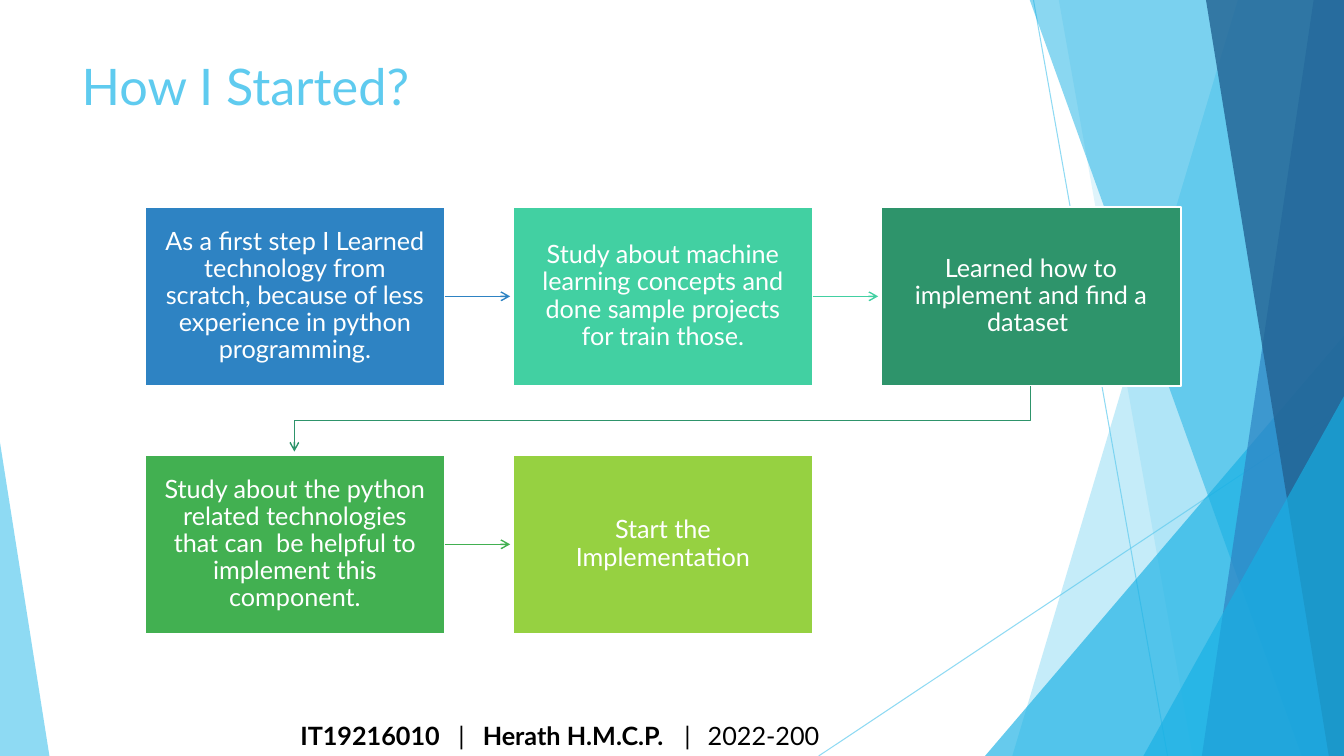
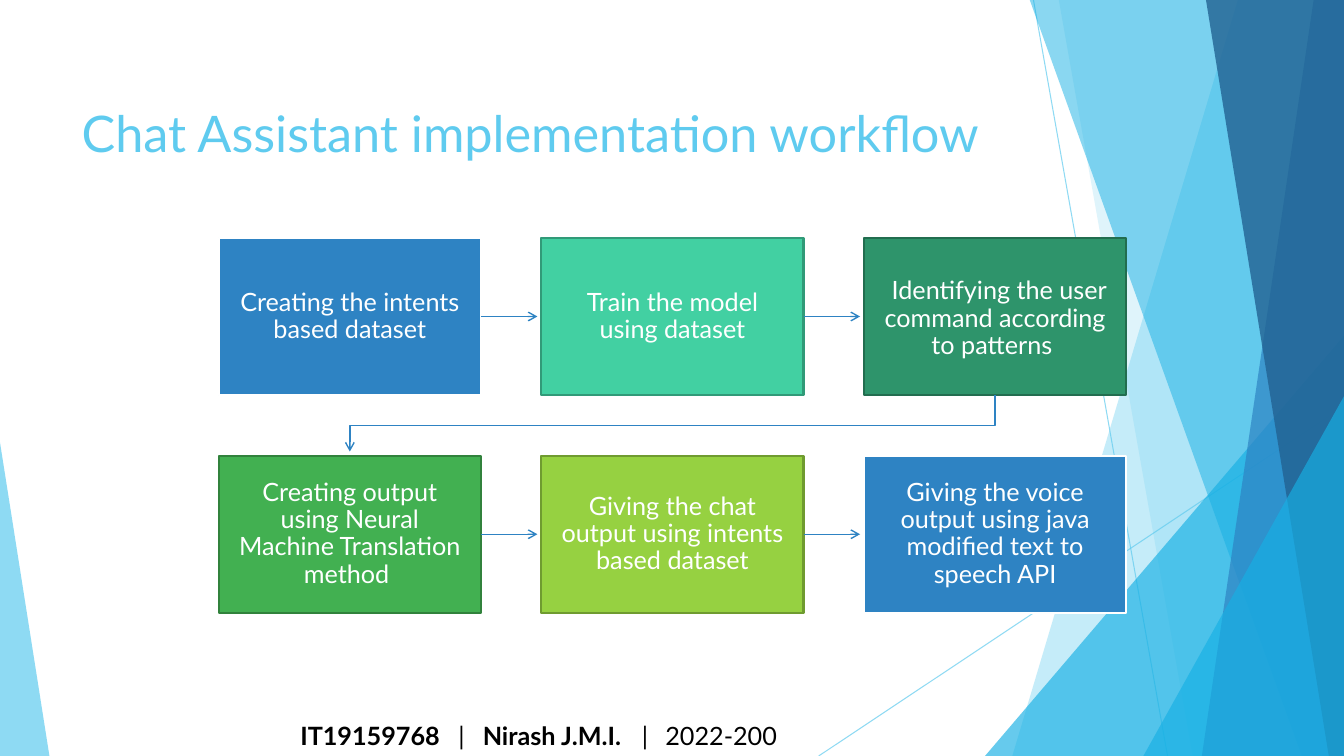
"""Build two process-flow slides on a shared faceted backdrop."""
from dataclasses import dataclass
from typing import NamedTuple, Optional

from lxml.etree import SubElement
from pptx import Presentation
from pptx.dml.color import RGBColor
from pptx.dml.line import LineFormat
from pptx.enum.shapes import MSO_CONNECTOR, MSO_SHAPE
from pptx.enum.text import MSO_ANCHOR, MSO_AUTO_SIZE, PP_ALIGN
from pptx.oxml.ns import qn
from pptx.shapes.autoshape import Shape
from pptx.shapes.base import BaseShape
from pptx.shapes.connector import Connector
from pptx.slide import Slide, SlideLayout
from pptx.text.text import TextFrame
from pptx.util import Emu, Pt

SLIDE_W, SLIDE_H = 1333, 750
FONT = "Lato"
COLUMNS = 3

WHITE = RGBColor(0xFF, 0xFF, 0xFF)
BLACK = RGBColor(0x00, 0x00, 0x00)
SKY = RGBColor(0x5F, 0xCB, 0xEF)
CYAN = RGBColor(0x17, 0xB0, 0xE4)
BLUE = RGBColor(0x2E, 0x83, 0xC3)
NAVY = RGBColor(0x22, 0x62, 0x92)
MINT = RGBColor(0x42, 0xD0, 0xA2)
MINT_EDGE = RGBColor(0x31, 0x9A, 0x78)
TEAL = RGBColor(0x2E, 0x94, 0x6B)
TEAL_EDGE = RGBColor(0x22, 0x6D, 0x4F)
GREEN = RGBColor(0x42, 0xB0, 0x51)
GREEN_EDGE = RGBColor(0x31, 0x82, 0x3C)
LIME = RGBColor(0x96, 0xD1, 0x41)
LIME_EDGE = RGBColor(0x6F, 0x9B, 0x30)


class Box(NamedTuple):
    left: int
    top: int
    width: int
    height: int


class Ray(NamedTuple):
    x1: int
    y1: int
    x2: int
    y2: int


class Facet(NamedTuple):
    points: list[tuple[int, int]]
    color: RGBColor
    alpha: int


class Corner(NamedTuple):
    box: Box
    apex: float
    color: RGBColor
    alpha: int


@dataclass(frozen=True)
class Step:
    text: str
    fill: RGBColor
    edge: RGBColor = WHITE
    lead_size: Optional[int] = None


@dataclass(frozen=True)
class Author:
    code: str
    name: str
    second_bar: int


@dataclass(frozen=True)
class Flow:
    title: str
    title_box: Box
    first_box: Box
    pitch_x: int
    pitch_y: int
    inset: int
    arrow_gap: int
    steps: list[Step]
    author: Author
    arrow_color: Optional[RGBColor] = None


def right_facet(x_top: int, x_bottom: int, color: RGBColor, alpha: int) -> Facet:
    points = [(x_top, -1), (SLIDE_W, -1), (SLIDE_W, SLIDE_H), (x_bottom, SLIDE_H)]
    return Facet(points, color, alpha)


RAYS = [Ray(1025, 0, 1158, 750), Ray(1333, 403, 812, 750)]
PANELS: list[Facet | Corner] = [
    right_facet(1228, 1004, SKY, 36),
    right_facet(1050, 1183, SKY, 20),
    Corner(Box(977, 333, 356, 417), 1, CYAN, 66),
    right_facet(1021, 1291, CYAN, 50),
    right_facet(1303, 1192, BLUE, 70),
    right_facet(1196, 1318, NAVY, 80),
    Corner(Box(1134, 393, 199, 357), 1, CYAN, 66),
    Corner(Box(0, 439, 49, 311), 0, SKY, 70),
]

FLOWS = [
    Flow(
        "How I Started?", Box(71, 50, 1029, 153), Box(144, 205, 297, 178),
        365, 246, 15, 3,
        [
            Step("As a first step I Learned technology from scratch, because of "
                 "less experience in python programming.", BLUE),
            Step("Study about machine learning concepts and done sample projects "
                 "for train those.", MINT),
            Step("Learned how to implement and find a dataset ", TEAL),
            Step("Study about the python related technologies that can  be helpful "
                 "to implement this component.", GREEN),
            Step("Start the Implementation", LIME),
        ],
        Author("IT19216010", "Herath H.M.C.P.", 384),
    ),
    Flow(
        "Chat Assistant implementation workflow", Box(71, 96, 940, 76),
        Box(217, 236, 260, 156), 320, 216, 13, 4,
        [
            Step("Creating the intents based dataset", BLUE),
            Step("Train the model using dataset", MINT, MINT_EDGE),
            Step("Identifying the user command according to patterns ", TEAL,
                 TEAL_EDGE, 22),
            Step("Creating output using Neural Machine Translation method ", GREEN,
                 GREEN_EDGE),
            Step("Giving the chat output using intents based dataset", LIME, LIME_EDGE),
            Step("Giving the voice output using java modified text to speech API", BLUE),
        ],
        Author("IT19159768", "Nirash J.M.I.", 342),
        BLUE,
    ),
]


def px(n: int) -> Emu:
    return Emu(n * 9144)


def emu(box: Box) -> list[Emu]:
    return [px(n) for n in box]


def set_alpha(shape: BaseShape, percent: int) -> None:
    color = next(shape.element.iter(qn("a:srgbClr")))
    SubElement(color, qn("a:alpha")).set("val", str(percent * 1000))


def style_line(line: LineFormat, color: RGBColor, width: float) -> None:
    line.color.rgb = color
    line.width = Pt(width)


def add_arrowhead(shape: BaseShape) -> None:
    ln = next(shape.element.iter(qn("a:ln")))
    SubElement(ln, qn("a:tailEnd")).set("type", "arrow")


def add_line(s: Slide, ray: Ray, color: RGBColor, width: float) -> Connector:
    line = s.shapes.add_connector(MSO_CONNECTOR.STRAIGHT, *[px(n) for n in ray])
    style_line(line.line, color, width)
    SubElement(line.element.spPr, qn("a:effectLst"))
    return line


def add_outline(s: Slide, points: list[tuple[int, int]], close: bool) -> Shape:
    builder = s.shapes.build_freeform(*points[0], scale=float(px(1)))
    builder.add_line_segments(points[1:], close=close)
    sp = builder.convert_to_shape()
    sp.shadow.inherit = False
    return sp


def add_panel(s: Slide, panel: Facet | Corner) -> None:
    if isinstance(panel, Facet):
        sp = add_outline(s, panel.points, True)
    else:
        sp = s.shapes.add_shape(MSO_SHAPE.ISOSCELES_TRIANGLE, *emu(panel.box))
        sp.adjustments[0] = panel.apex
        sp.shadow.inherit = False
    sp.fill.solid()
    sp.fill.fore_color.rgb = panel.color
    sp.line.fill.background()
    set_alpha(sp, panel.alpha)


def set_backdrop(layout: SlideLayout, s: Slide) -> None:
    """Draw the facets on a slide and move them behind the layout's title."""
    for ph in list(layout.placeholders)[1:]:
        ph.element.getparent().remove(ph.element)
    for ray in RAYS:
        set_alpha(add_line(s, ray, SKY, 0.75), 70)
    for panel in PANELS:
        add_panel(s, panel)
    drawn = [sp for sp in s.shapes if not sp.is_placeholder]
    for i, sp in enumerate(drawn, start=2):
        layout.shapes.element.insert(i, sp.element)


def style_text(tf: TextFrame, size: int, color: RGBColor, align: PP_ALIGN,
               anchor: MSO_ANCHOR) -> None:
    tf.word_wrap = True
    tf.auto_size = MSO_AUTO_SIZE.NONE
    tf.vertical_anchor = anchor
    p = tf.paragraphs[0]
    p.alignment = align
    p.font.name = FONT
    p.font.size = Pt(size)
    p.font.color.rgb = color


def add_title(s: Slide, flow: Flow) -> None:
    title = s.shapes.title
    title.left, title.top, title.width, title.height = emu(flow.title_box)
    title.text_frame.text = flow.title
    style_text(title.text_frame, 36, SKY, PP_ALIGN.LEFT, MSO_ANCHOR.TOP)


def add_step(s: Slide, step: Step, box: Box, inset: int) -> Shape:
    sp = s.shapes.add_shape(MSO_SHAPE.RECTANGLE, *emu(box))
    sp.shadow.inherit = False
    sp.fill.solid()
    sp.fill.fore_color.rgb = step.fill
    style_line(sp.line, step.edge, 1.5)
    tf = sp.text_frame
    tf.margin_left = tf.margin_top = tf.margin_right = tf.margin_bottom = px(inset)
    p = tf.paragraphs[0]
    p.line_spacing = 0.9
    if step.lead_size:
        r = p.add_run()
        r.text = " "
        r.font.size = Pt(step.lead_size)
    p.add_run().text = step.text
    style_text(tf, 18, WHITE, PP_ALIGN.CENTER, MSO_ANCHOR.MIDDLE)
    return sp


def add_arrow(s: Slide, sp: Shape, start: Box, end: Box, gap: int,
              color: RGBColor) -> None:
    """Join two steps, straight along a row or bent down to the next row."""
    if start.top == end.top:
        y = start.top + start.height // 2
        ray = Ray(start.left + start.width, y, end.left - gap, y)
        arrow = add_line(s, ray, color, 1)
        arrow.begin_connect(sp, 3)
    else:
        x1, x2 = (b.left + b.width // 2 for b in (start, end))
        bottom = start.top + start.height
        bend = (bottom + end.top) // 2
        points = [(x1, bottom), (x1, bend), (x2, bend), (x2, end.top - gap)]
        arrow = add_outline(s, points, False)
        arrow.fill.background()
        style_line(arrow.line, color, 1)
    add_arrowhead(arrow)


def add_flow(s: Slide, flow: Flow) -> None:
    first = flow.first_box
    boxes = [
        first._replace(left=first.left + i % COLUMNS * flow.pitch_x,
                       top=first.top + i // COLUMNS * flow.pitch_y)
        for i in range(len(flow.steps))
    ]
    shapes = [add_step(s, step, box, flow.inset)
              for step, box in zip(flow.steps, boxes)]
    for step, sp, start, end in zip(flow.steps, shapes, boxes, boxes[1:]):
        add_arrow(s, sp, start, end, flow.arrow_gap, flow.arrow_color or step.fill)


def add_footer(s: Slide, author: Author) -> None:
    tf = s.shapes.add_textbox(*emu(Box(288, 710, 745, 40))).text_frame
    p = tf.paragraphs[0]
    tabs = SubElement(p._p.get_or_add_pPr(), qn("a:tabLst"))
    bar = author.second_bar
    for pos, align in [(160, "ctr"), (181, "l"), (bar, "ctr"), (bar + 20, "l")]:
        tab = SubElement(tabs, qn("a:tab"))
        tab.set("pos", str(px(pos)))
        tab.set("algn", align)
    for text, bold in [(author.code, True), ("\t|\t", False),
                       (author.name, True), ("\t|\t2022-200", False)]:
        r = p.add_run()
        r.text = text
        r.font.bold = bold
    style_text(tf, 18, BLACK, PP_ALIGN.LEFT, MSO_ANCHOR.MIDDLE)


def main() -> None:
    prs = Presentation()
    prs.slide_width, prs.slide_height = px(SLIDE_W), px(SLIDE_H)
    layout = prs.slide_layouts.get_by_name("Title Only")
    for i, flow in enumerate(FLOWS):
        s = prs.slides.add_slide(layout)
        if i == 0:
            set_backdrop(layout, s)
        add_title(s, flow)
        add_flow(s, flow)
        add_footer(s, flow.author)
    prs.save("out.pptx")


if __name__ == "__main__":
    main()
